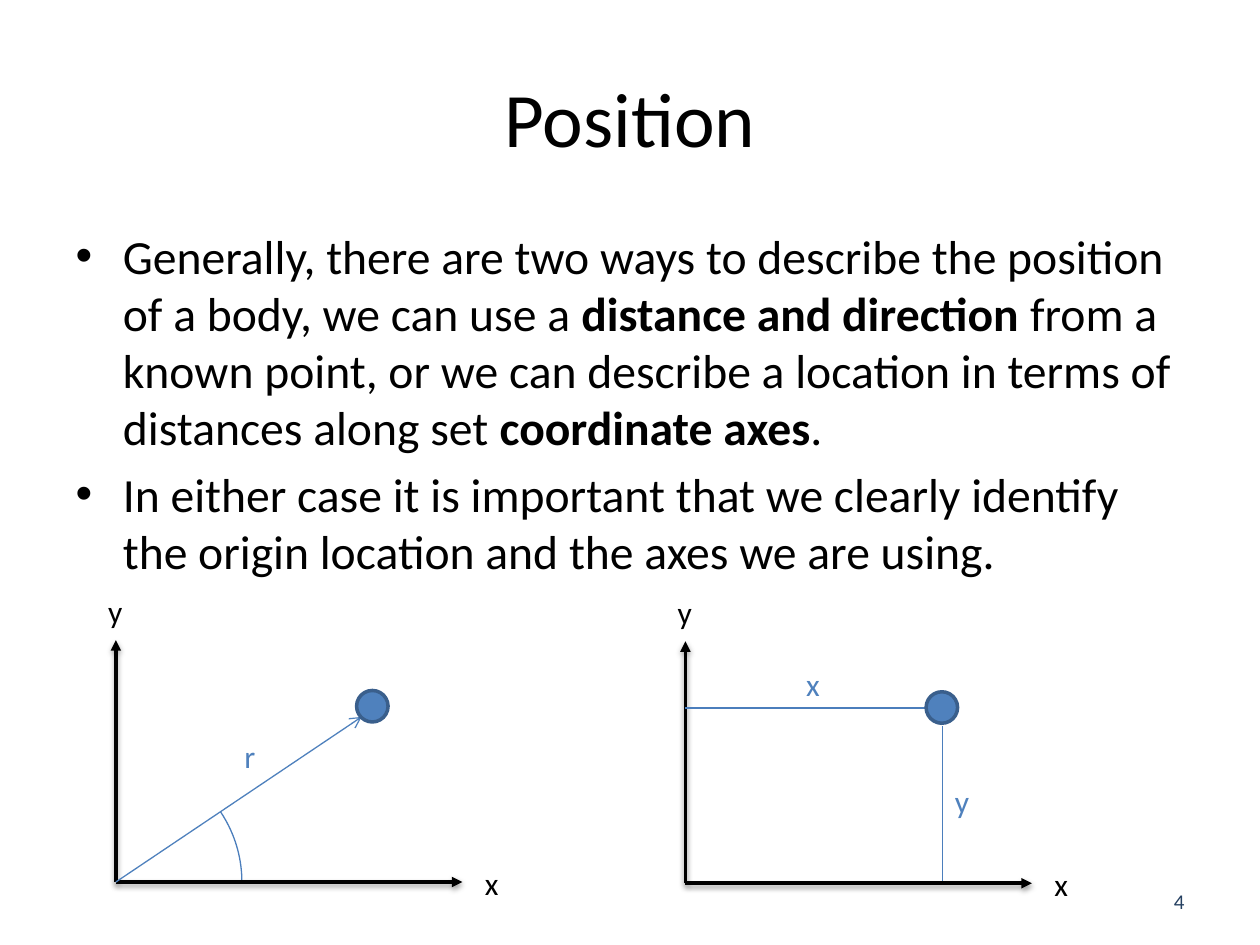
from dataclasses import dataclass

from lxml import etree
from pptx import Presentation
from pptx.dml.color import RGBColor
from pptx.enum.shapes import MSO_CONNECTOR, MSO_SHAPE
from pptx.enum.text import MSO_ANCHOR, MSO_AUTO_SIZE, PP_ALIGN
from pptx.oxml import parse_xml
from pptx.oxml.ns import nsdecls, qn
from pptx.util import Inches, Pt

STRAIGHT = MSO_CONNECTOR.STRAIGHT
ARC, OVAL = MSO_SHAPE.ARC, MSO_SHAPE.OVAL
MIDDLE = MSO_ANCHOR.MIDDLE
CENTER, RIGHT, LEFT = PP_ALIGN.CENTER, PP_ALIGN.RIGHT, PP_ALIGN.LEFT
NO_FIT, GROW = MSO_AUTO_SIZE.NONE, MSO_AUTO_SIZE.SHAPE_TO_FIT_TEXT

BLACK = RGBColor(0x00, 0x00, 0x00)
BLUE = RGBColor(0x4F, 0x81, 0xBD)
THIN_BLUE = RGBColor(0x4B, 0x7E, 0xBC)
DARK_BLUE = RGBColor(0x3A, 0x5F, 0x8C)
NUMBER_BLUE = RGBColor(0x25, 0x40, 0x61)

FONT = "Calibri"
BODY_SIZE = 27.2
BODY_DIAMETER = 0.25

AXIS_SHADOW = (
    f'<a:effectLst {nsdecls("a")}>'
    '<a:outerShdw blurRad="40000" dist="20000" dir="5400000" rotWithShape="0">'
    '<a:srgbClr val="000000"><a:alpha val="38000"/></a:srgbClr>'
    "</a:outerShdw></a:effectLst>"
)
NO_SHADOW = f'<a:effectLst {nsdecls("a")}/>'


@dataclass
class Label:
    text: str
    x: float
    y: float
    color: RGBColor = BLACK


@dataclass
class Line:
    start: tuple[float, float]
    end: tuple[float, float]
    color: RGBColor = THIN_BLUE
    width: float = 0.75
    arrow: str = ""
    shadow: str = NO_SHADOW


@dataclass
class Diagram:
    """Origin on the slide; lines and labels are offsets from it."""
    x: float
    y: float
    lines: list[Line]
    labels: list[Label]
    arc_radius: float = 0


AXES = [
    Line((0, 0), end, BLACK, 2, "triangle", AXIS_SHADOW)
    for end in ((0, -1.92), (2.75, 0))
]
AXIS_LABELS = [Label("y", -0.16, -2.35), Label("x", 2.83, -0.19)]

DIAGRAMS = [
    # Distance and direction
    Diagram(
        0.92, 7,
        AXES + [Line((0, 0), (1.95, -1.31), BLUE, arrow="arrow")],
        AXIS_LABELS + [Label("r", 0.92, -1.2, BLUE)],
        arc_radius=1,
    ),
    # Coordinate axes
    Diagram(
        5.44, 7.01,
        AXES + [Line((0, -1.39), (1.92, -1.39)),
                Line((2.04, -0.02), (2.04, -1.25))],
        AXIS_LABELS + [Label("x", 0.86, -1.78, BLUE),
                       Label("y", 2.04, -0.85, BLUE)],
    ),
]

BULLETS = [
    [
        ("Generally, there are two ways to describe the position of a body, "
         "we can use a ", False),
        ("distance and direction", True),
        (" from a known point, or we can describe a location in terms of "
         "distances along set ", False),
        ("coordinate axes", True),
        (".", False),
    ],
    [
        ("In either case it is important that we clearly identify the origin "
         "location and the axes we are using.", False),
    ],
]


def write(p, text: str, size: float = 18, color: RGBColor = BLACK,
          bold: bool = False, align: PP_ALIGN = LEFT) -> None:
    p.alignment = align
    r = p.add_run()
    r.text = text
    r.font.name, r.font.size, r.font.bold = FONT, Pt(size), bold
    r.font.color.rgb = color


def place(sp, x: float, y: float, w: float, h: float) -> None:
    sp.left, sp.top, sp.width, sp.height = map(Inches, (x, y, w, h))


def add_line(shapes, line: Line, x: float, y: float) -> None:
    (x1, y1), (x2, y2) = line.start, line.end
    c = shapes.add_connector(STRAIGHT, Inches(x + x1), Inches(y + y1),
                             Inches(x + x2), Inches(y + y2))
    c.line.color.rgb, c.line.width = line.color, Pt(line.width)
    if line.arrow:
        ln = c.line._get_or_add_ln()
        etree.SubElement(ln, qn("a:tailEnd"), type=line.arrow)
    c._element.spPr.append(parse_xml(line.shadow))


def add_label(shapes, label: Label, x: float, y: float) -> None:
    box = shapes.add_textbox(Inches(x + label.x), Inches(y + label.y),
                             Inches(0.31), Inches(0.4))
    tf = box.text_frame
    tf.word_wrap, tf.auto_size = False, GROW
    write(tf.paragraphs[0], label.text, color=label.color)


def add_outline(shapes, kind: MSO_SHAPE, x: float, y: float, size: float,
                color: RGBColor, width: float):
    sp = shapes.add_shape(kind, Inches(x), Inches(y), Inches(size), Inches(size))
    sp.shadow.inherit = False
    sp.fill.background()
    sp.line.color.rgb, sp.line.width = color, Pt(width)
    return sp


def add_diagram(s, d: Diagram) -> None:
    shapes = s.shapes.add_group_shape().shapes
    if d.arc_radius:
        arc = add_outline(shapes, ARC, d.x - d.arc_radius, d.y - d.arc_radius,
                          2 * d.arc_radius, THIN_BLUE, 0.75)
        arc.adjustments[0], arc.adjustments[1] = 195.59, 0
    for line in d.lines:
        add_line(shapes, line, d.x, d.y)
    body = add_outline(shapes, OVAL, d.x + 1.91, d.y - 1.52, BODY_DIAMETER,
                       DARK_BLUE, 2)
    body.fill.solid()
    body.fill.fore_color.rgb = BLUE
    for label in d.labels:
        add_label(shapes, label, d.x, d.y)


def main() -> None:
    prs = Presentation()
    prs.slide_width, prs.slide_height = Inches(10), Inches(7.5)
    s = prs.slides.add_slide(prs.slide_layouts[1])

    # Title
    title = s.shapes.title
    place(title, 0.5, 0.3, 9, 1.25)
    title.text_frame.vertical_anchor = MIDDLE
    write(title.text_frame.paragraphs[0], "Position", size=44, align=CENTER)

    # Bulleted text
    body = s.placeholders[1]
    place(body, 0.5, 1.75, 9, 2.53)
    tf = body.text_frame
    tf.auto_size = NO_FIT
    for i, runs in enumerate(BULLETS):
        p = tf.add_paragraph() if i else tf.paragraphs[0]
        p.space_before = Pt(5.4 if i else 0)
        for text, bold in runs:
            write(p, text, size=BODY_SIZE, bold=bold)

    # Slide number
    number = s.shapes.add_textbox(Inches(7.17), Inches(6.95),
                                  Inches(2.33), Inches(0.4))
    tf = number.text_frame
    tf.word_wrap, tf.vertical_anchor = True, MIDDLE
    write(tf.paragraphs[0], "4", size=12, color=NUMBER_BLUE, align=RIGHT)

    # Diagrams
    for d in DIAGRAMS:
        add_diagram(s, d)

    prs.save("out.pptx")


if __name__ == "__main__":
    main()
